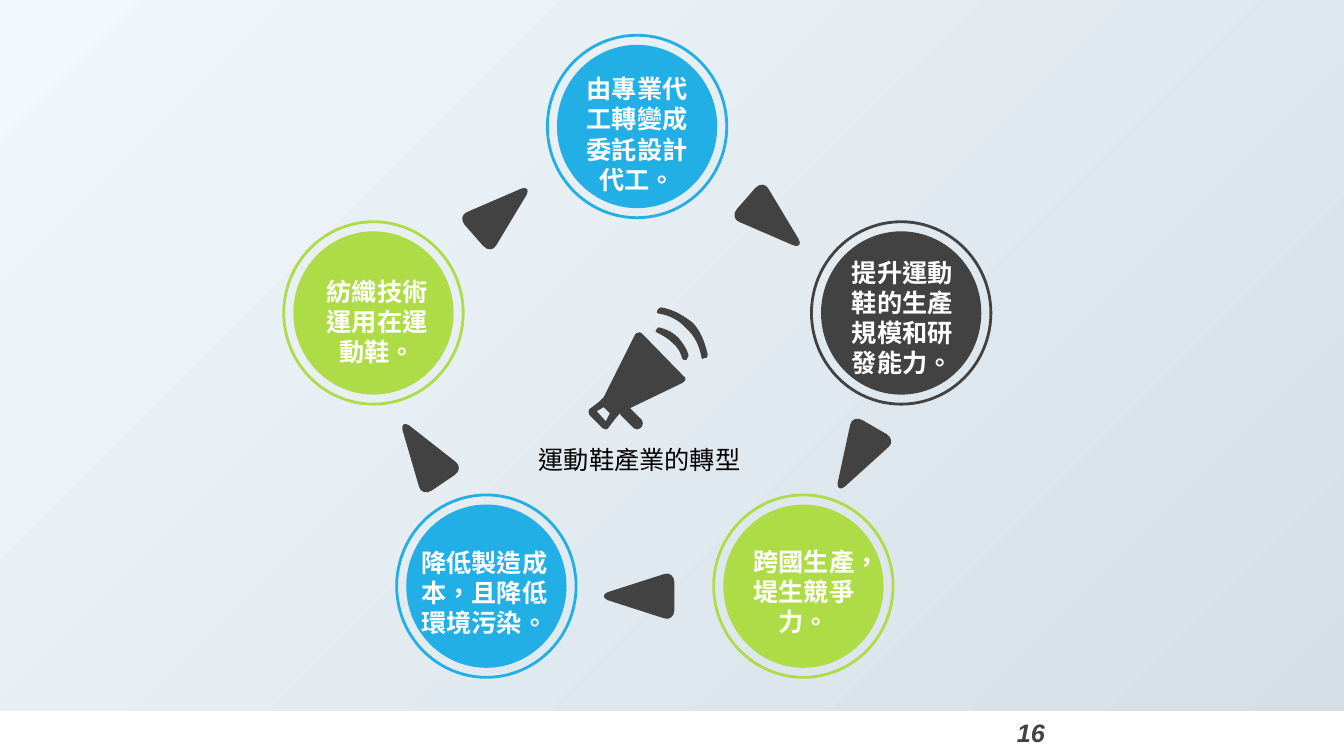
from lxml import etree
from pptx import Presentation
from pptx.dml.color import RGBColor
from pptx.enum.shapes import MSO_SHAPE
from pptx.enum.text import MSO_AUTO_SIZE, PP_ALIGN
from pptx.oxml.ns import qn
from pptx.util import Emu, Inches, Pt

CIRCLE, BAR = MSO_SHAPE.OVAL, MSO_SHAPE.RECTANGLE
CENTER, LEFT = PP_ALIGN.CENTER, PP_ALIGN.LEFT
GROW = MSO_AUTO_SIZE.SHAPE_TO_FIT_TEXT

CELL = Inches(0.1)
SLIDE_COLUMNS, SLIDE_ROWS = 133.33, 75
LATIN, CJK = "Arial", "Noto Sans CJK SC"
BLUE, GREEN, DARK, WHITE, BLACK = "21AFE6", "AEDC46", "424242", "FFFFFF", "000000"
SKY = ("F2F7FB", "D4DEE7")
RING_SIZE, DISC_SIZE = (17.8, 18.1), (15.9, 16.2)

STAGES = [
    ((63.2, 12.55), BLUE, "由專業代工轉變成委託設計代工。", (56.7, 6.8, 13, 13.1)),
    ((37.05, 31.05), GREEN, "紡織技術運用在運動鞋。", (31, 26.9, 12.8, 10.1)),
    ((89.4, 31.05), DARK, "提升運動鞋的生產規模和研發能力。", (82.4, 25, 14.2, 13.1)),
    ((48.25, 58.15), BLUE, "降低製造成本，且降低環境污染。", (40.3, 53.8, 15.5, 10.1)),
    ((79.7, 58.15), GREEN, "跨國生產，堤生競爭力。", (72.8, 53.7, 13.9, 10.1)),
]

ARROWS = [
    ((76.65, 22), 221.2),
    ((49.65, 21.05), 138.8),
    ((42, 45), 55.9),
    ((85, 45.4), 300),
    ((63.4, 59.15), 0),
]
ARROW_OUTLINE = [
    (3.5, 1.4), (3.5, 2, 3, 2.4, 2.5, 2.2), (-3.1, 0.4),
    (-3.35, 0.3, -3.5, 0.15, -3.5, 0), (-3.5, -0.15, -3.35, -0.3, -3.1, -0.4),
    (2.5, -2.2), (3, -2.4, 3.5, -2, 3.5, -1.4),
]

HORN = [
    (63.7, 33.1), (63.6, 33, 63.4, 32.9, 63.3, 33),
    (63.2, 33, 63.1, 33.1, 63, 33.2), (59.9, 39.4), (59.4, 39.9), (58.6, 40.5),
    (58.5, 40.5, 58.4, 40.7, 58.4, 40.8), (58.4, 40.9, 58.4, 41.1, 58.5, 41.2),
    (59.8, 42.5), (59.9, 42.5, 60, 42.6, 60.1, 42.6),
    (60.2, 42.6, 60.4, 42.5, 60.4, 42.4), (61, 41.6), (61.5, 41),
    (61.5, 41.1, 61.6, 41.1, 61.6, 41.2), (62.9, 42.5),
    (63, 42.5, 63.1, 42.6, 63.2, 42.6), (63.3, 42.6, 63.4, 42.5, 63.5, 42.5),
    (63.7, 42.3), (63.8, 42.1, 63.8, 41.9, 63.7, 41.7), (62.5, 40.5), (67.7, 38),
    (67.8, 37.9, 68, 37.8, 68, 37.7), (68, 37.5, 68, 37.4, 67.8, 37.3),
]
MOUTHPIECE = [(60.1, 41.8), (59.2, 40.8), (59.9, 40.4), (60.5, 41)]
OUTER_WAVE = [
    (70.2, 35.1), (69.9, 33.9, 69.5, 32.8, 68.7, 32),
    (67.8, 31.3, 66.8, 30.7, 65.6, 30.5), (65.5, 30.5, 65.3, 30.6, 65.2, 30.8),
    (65.1, 31, 65.2, 31.1, 65.3, 31.1), (66.5, 31.3, 67.4, 31.8, 68.1, 32.6),
    (68.9, 33.3, 69.4, 34.3, 69.6, 35.5), (69.6, 35.6, 69.8, 35.7, 69.9, 35.5),
    (70, 35.5, 70, 35.5, 70.1, 35.5), (70.2, 35.4, 70.2, 35.2, 70.2, 35.1),
]
INNER_WAVE = [
    (67.3, 33.5), (66.8, 33, 66.2, 32.7, 65.5, 32.5),
    (65.4, 32.4, 65.2, 32.5, 65.1, 32.7), (65, 32.8, 65, 33, 65.2, 33),
    (65.8, 33.3, 66.3, 33.6, 66.7, 34), (67.2, 34.4, 67.5, 34.9, 67.7, 35.6),
    (67.7, 35.7, 67.9, 35.7, 68.1, 35.7), (68.1, 35.6, 68.2, 35.6, 68.2, 35.5),
    (68.3, 35.5, 68.3, 35.3, 68.3, 35.2), (68.1, 34.5, 67.7, 34, 67.3, 33.5),
]


def cells(count):
    """Convert grid cells to a slide length."""
    return Emu(round(count * CELL))


def color(hex_code):
    """Turn a hex string into a colour."""
    return RGBColor.from_string(hex_code)


def fill_sky(fill):
    """Apply the diagonal pale gradient."""
    fill.gradient()
    fill.gradient_angle = 315
    for stop, shade in zip(fill.gradient_stops, SKY):
        stop.color.rgb = color(shade)


def paint(shape, hex_code):
    """Give a shape a flat fill without line or shadow."""
    shape.shadow.inherit = False
    shape.fill.solid()
    shape.fill.fore_color.rgb = color(hex_code)
    shape.line.fill.background()


def add_circle(shapes, center, size):
    """Add an ellipse around a centre point."""
    (x, y), (width, height) = center, size
    return shapes.add_shape(CIRCLE, cells(x - width / 2), cells(y - height / 2),
                            cells(width), cells(height))


def add_text(shapes, box, text, hex_code, font, align=LEFT, wrap=True, **styles):
    """Add an 18 point text box with the given font styles."""
    label = shapes.add_textbox(*map(cells, box))
    frame = label.text_frame
    frame.word_wrap = wrap
    frame.auto_size = GROW
    frame.text = text
    paragraph = frame.paragraphs[0]
    paragraph.alignment = align
    run = paragraph.runs[0]
    run.font.size = Pt(18)
    run.font.name = font
    run.font.color.rgb = color(hex_code)
    for style, value in styles.items():
        setattr(run.font, style, value)
    properties = run.font._element
    properties.set("lang", "zh-TW")
    etree.SubElement(properties, qn("a:ea"), typeface=CJK)


def place(outline, origin):
    """Group each segment into points on the slide."""
    return [[(cells(x + origin[0]), cells(y + origin[1]))
             for x, y in zip(segment[::2], segment[1::2])] for segment in outline]


def bend(figure, segments):
    """Turn the straight segments that have control points into curves."""
    straight = list(figure._element.iter(qn("a:lnTo")))
    for line, points in zip(straight, segments):
        if len(points) == 1:
            continue
        curve = etree.Element(qn("a:cubicBezTo"))
        for x, y in points:
            etree.SubElement(curve, qn("a:pt"), x=str(x - figure.left), y=str(y - figure.top))
        line.getparent().replace(line, curve)


def add_outline(shapes, outlines, origin=(0, 0), rotation=0):
    """Draw closed dark outlines as one freeform."""
    contours = [place(outline, origin) for outline in outlines]
    builder = shapes.build_freeform(*contours[0][0][-1])
    for index, (start, *segments) in enumerate(contours):
        if index:
            builder.move_to(*start[-1])
        builder.add_line_segments([points[-1] for points in segments])
    figure = builder.convert_to_shape()
    bend(figure, [points for contour in contours for points in contour[1:]])
    paint(figure, DARK)
    figure.rotation = rotation


def add_stage(slide, center, hex_code):
    """Add a ringed disc for one stage of the cycle."""
    stage = slide.shapes.add_group_shape()
    ring = add_circle(stage.shapes, center, RING_SIZE)
    ring.shadow.inherit = False
    ring._element.set("useBgFill", "1")
    ring.line.color.rgb = color(hex_code)
    ring.line.width = Pt(2)
    paint(add_circle(stage.shapes, center, DISC_SIZE), hex_code)


def add_footer(slide):
    """Add the white strip with the page number."""
    strip = slide.shapes.add_shape(BAR, 0, cells(70.55), cells(SLIDE_COLUMNS), cells(4.45))
    paint(strip, WHITE)
    add_text(slide.shapes, (99.9, 70.7, 30, 4), "16", DARK, LATIN, bold=True, italic=True)


def main():
    """Build the transformation cycle slide."""
    deck = Presentation()
    deck.slide_width, deck.slide_height = cells(SLIDE_COLUMNS), cells(SLIDE_ROWS)
    slide = deck.slides.add_slide(deck.slide_layouts[6])
    fill_sky(slide.background.fill)
    add_footer(slide)
    for center, hex_code, _, _ in STAGES:
        add_stage(slide, center, hex_code)
    for center, rotation in ARROWS:
        add_outline(slide.shapes, [ARROW_OUTLINE], center, rotation)
    megaphone = slide.shapes.add_group_shape()
    for outlines in ([HORN, MOUTHPIECE], [OUTER_WAVE], [INNER_WAVE]):
        add_outline(megaphone.shapes, outlines)
    for _, _, caption, box in STAGES:
        add_text(slide.shapes, box, caption, WHITE, CJK, CENTER, bold=True)
    add_text(slide.shapes, (52.45, 43.6, 22.2, 4), "運動鞋產業的轉型", BLACK, LATIN, wrap=False)
    deck.save("out.pptx")


if __name__ == "__main__":
    main()
